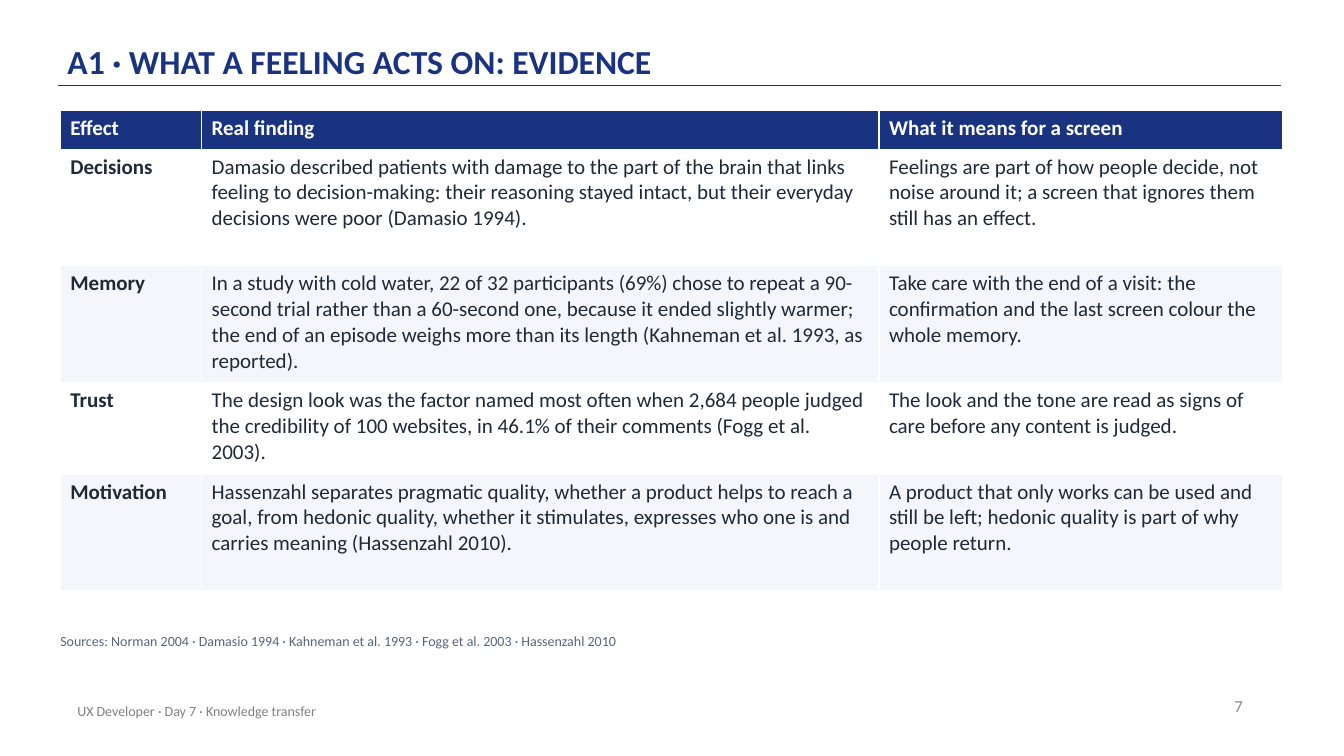
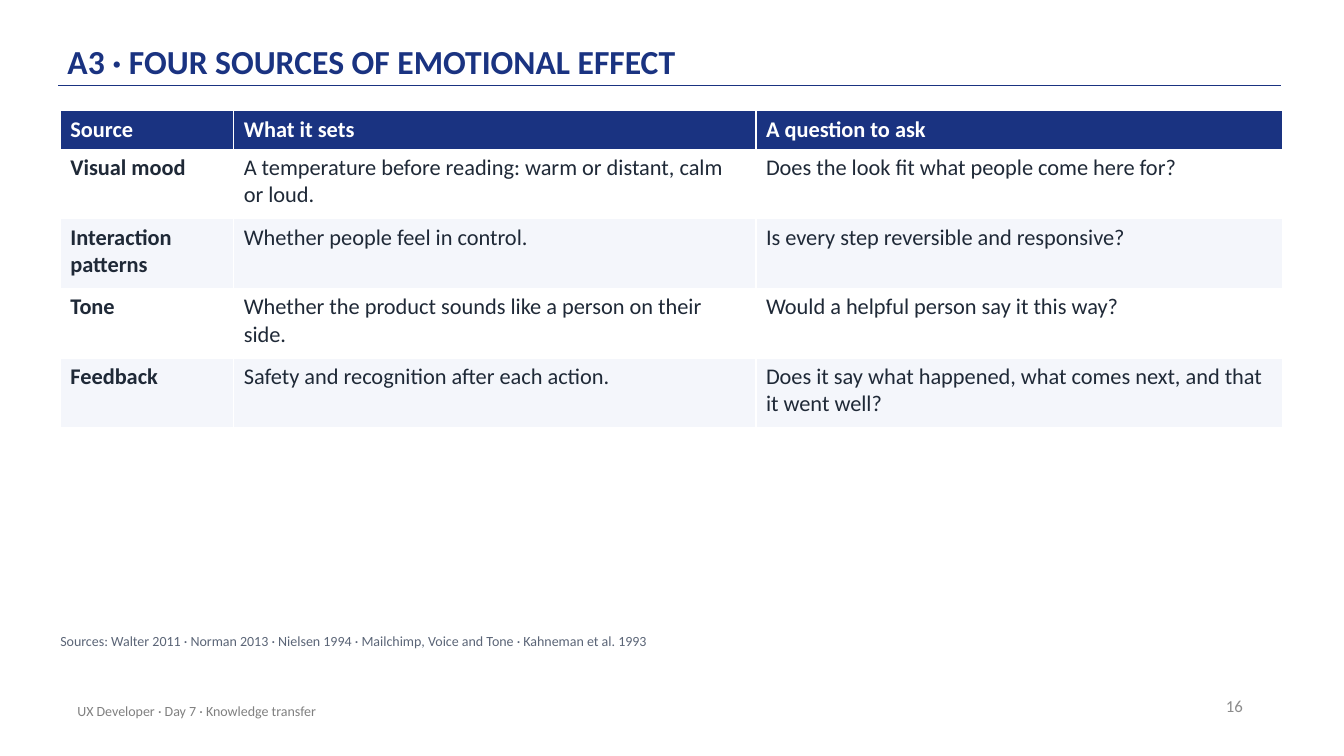
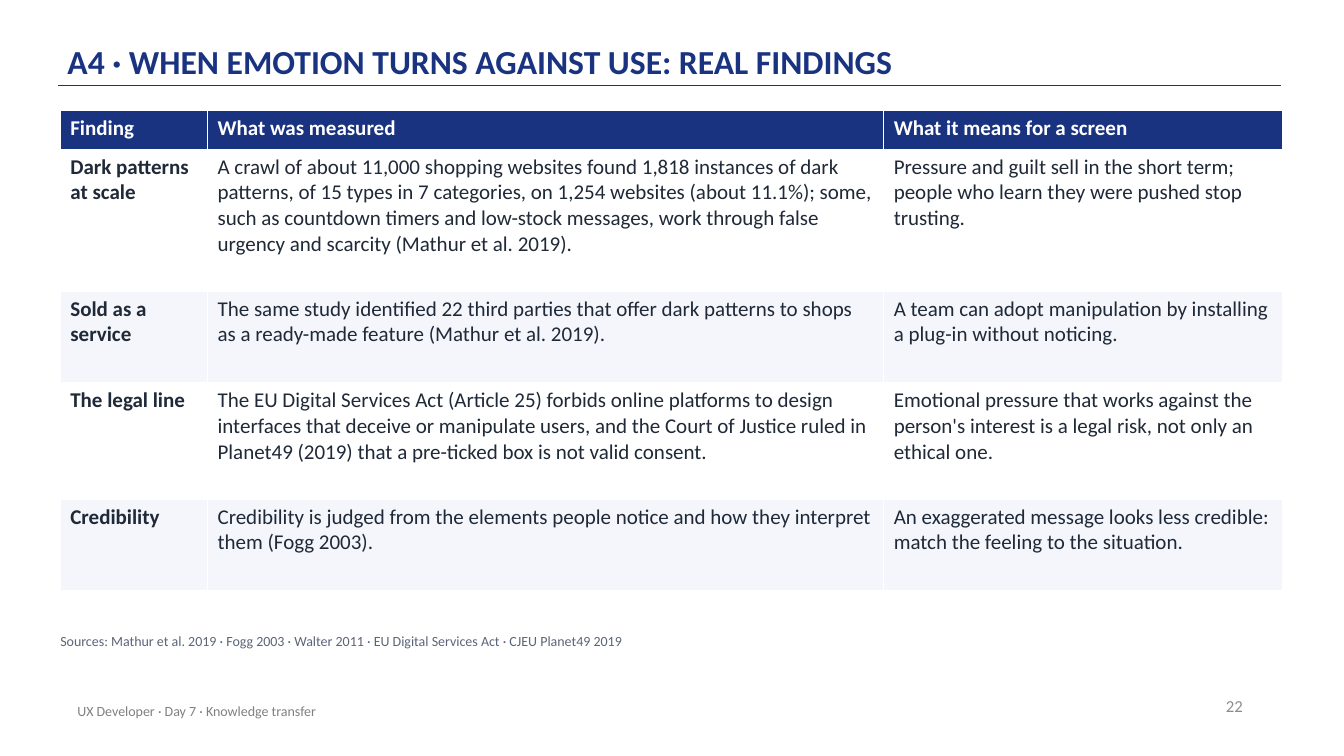
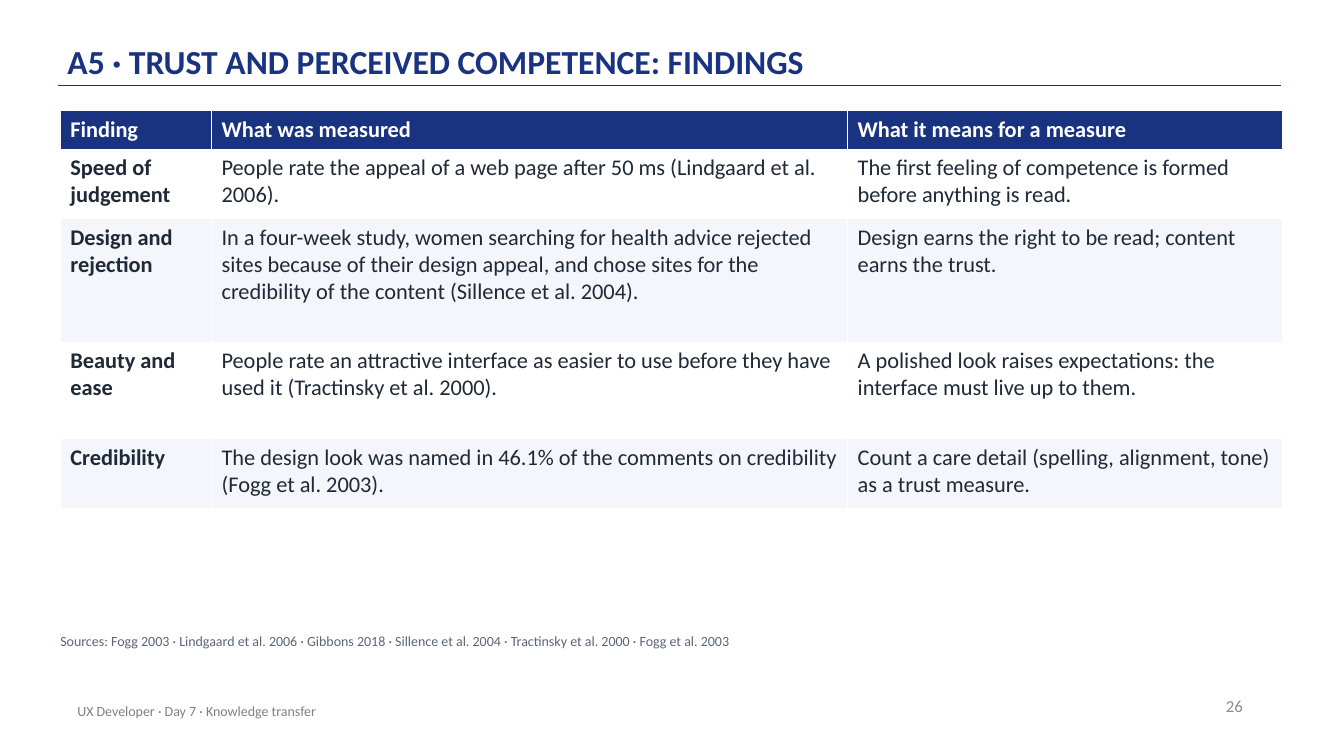
from dataclasses import dataclass

import pptx
import pptx.dml.color
import pptx.enum.shapes
import pptx.enum.text
import pptx.oxml.ns
import pptx.util
from lxml import etree

Cm = pptx.util.Cm
Pt = pptx.util.Pt
Align = pptx.enum.text.PP_ALIGN
Anchor = pptx.enum.text.MSO_ANCHOR


@dataclass(frozen=True)
class Theme:
    font: str = "Calibri"
    brand: str = "1A3381"
    white: str = "FFFFFF"
    band: str = "F4F6FB"
    ink: str = "1F2937"
    source: str = "5B6577"
    footer: str = "808080"
    number: str = "8C8C8C"
    title_size: int = 24
    number_size: int = 12
    small_size: int = 10


THEME = Theme()
FOOTER = "UX Developer · Day 7 · Knowledge transfer"
TABLE_LEFT, TABLE_TOP, TABLE_WIDTH = 1.52, 2.79, 30.81
HEADER_HEIGHT = 0.97
ROW_PADDING = 0.4
LINE_SPACING = 1.2

# Each row ends with the number of text lines its height allows for.
SLIDES = [
    {
        "title": "A1 · WHAT A FEELING ACTS ON: EVIDENCE",
        "number": 7,
        "size": 15,
        "columns": (3.56, 17.07),
        "header": ("Effect", "Real finding", "What it means for a screen"),
        "rows": [
            ("Decisions",
             "Damasio described patients with damage to the part of the brain that links feeling to "
             "decision-making: their reasoning stayed intact, but their everyday decisions were poor "
             "(Damasio 1994).",
             "Feelings are part of how people decide, not noise around it; a screen that ignores them "
             "still has an effect.", 4),
            ("Memory",
             "In a study with cold water, 22 of 32 participants (69%) chose to repeat a 90-second trial "
             "rather than a 60-second one, because it ended slightly warmer; the end of an episode weighs "
             "more than its length (Kahneman et al. 1993, as reported).",
             "Take care with the end of a visit: the confirmation and the last screen colour the whole "
             "memory.", 4),
            ("Trust",
             "The design look was the factor named most often when 2,684 people judged the credibility of "
             "100 websites, in 46.1% of their comments (Fogg et al. 2003).",
             "The look and the tone are read as signs of care before any content is judged.", 3),
            ("Motivation",
             "Hassenzahl separates pragmatic quality, whether a product helps to reach a goal, from "
             "hedonic quality, whether it stimulates, expresses who one is and carries meaning "
             "(Hassenzahl 2010).",
             "A product that only works can be used and still be left; hedonic quality is part of why "
             "people return.", 4),
        ],
        "sources": "Sources: Norman 2004 · Damasio 1994 · Kahneman et al. 1993 · Fogg et al. 2003 · "
                   "Hassenzahl 2010",
    },
    {
        "title": "A3 · FOUR SOURCES OF EMOTIONAL EFFECT",
        "number": 16,
        "size": 16,
        "columns": (4.37, 13.16),
        "header": ("Source", "What it sets", "A question to ask"),
        "rows": [
            ("Visual mood", "A temperature before reading: warm or distant, calm or loud.",
             "Does the look fit what people come here for?", 2),
            ("Interaction patterns", "Whether people feel in control.",
             "Is every step reversible and responsive?", 2),
            ("Tone", "Whether the product sounds like a person on their side.",
             "Would a helpful person say it this way?", 2),
            ("Feedback", "Safety and recognition after each action.",
             "Does it say what happened, what comes next, and that it went well?", 2),
        ],
        "sources": "Sources: Walter 2011 · Norman 2013 · Nielsen 1994 · Mailchimp, Voice and Tone · "
                   "Kahneman et al. 1993",
    },
    {
        "title": "A4 · WHEN EMOTION TURNS AGAINST USE: REAL FINDINGS",
        "number": 22,
        "size": 15,
        "columns": (3.71, 17.04),
        "header": ("Finding", "What was measured", "What it means for a screen"),
        "rows": [
            ("Dark patterns at scale",
             "A crawl of about 11,000 shopping websites found 1,818 instances of dark patterns, of 15 "
             "types in 7 categories, on 1,254 websites (about 11.1%); some, such as countdown timers and "
             "low-stock messages, work through false urgency and scarcity (Mathur et al. 2019).",
             "Pressure and guilt sell in the short term; people who learn they were pushed stop "
             "trusting.", 5),
            ("Sold as a service",
             "The same study identified 22 third parties that offer dark patterns to shops as a "
             "ready-made feature (Mathur et al. 2019).",
             "A team can adopt manipulation by installing a plug-in without noticing.", 3),
            ("The legal line",
             "The EU Digital Services Act (Article 25) forbids online platforms to design interfaces that "
             "deceive or manipulate users, and the Court of Justice ruled in Planet49 (2019) that a "
             "pre-ticked box is not valid consent.",
             "Emotional pressure that works against the person's interest is a legal risk, not only an "
             "ethical one.", 4),
            ("Credibility",
             "Credibility is judged from the elements people notice and how they interpret them "
             "(Fogg 2003).",
             "An exaggerated message looks less credible: match the feeling to the situation.", 3),
        ],
        "sources": "Sources: Mathur et al. 2019 · Fogg 2003 · Walter 2011 · EU Digital Services Act · "
                   "CJEU Planet49 2019",
    },
    {
        "title": "A5 · TRUST AND PERCEIVED COMPETENCE: FINDINGS",
        "number": 26,
        "size": 16,
        "columns": (3.81, 16.03),
        "header": ("Finding", "What was measured", "What it means for a measure"),
        "rows": [
            ("Speed of judgement",
             "People rate the appeal of a web page after 50 ms (Lindgaard et al. 2006).",
             "The first feeling of competence is formed before anything is read.", 2),
            ("Design and rejection",
             "In a four-week study, women searching for health advice rejected sites because of their "
             "design appeal, and chose sites for the credibility of the content (Sillence et al. 2004).",
             "Design earns the right to be read; content earns the trust.", 4),
            ("Beauty and ease",
             "People rate an attractive interface as easier to use before they have used it "
             "(Tractinsky et al. 2000).",
             "A polished look raises expectations: the interface must live up to them.", 3),
            ("Credibility",
             "The design look was named in 46.1% of the comments on credibility (Fogg et al. 2003).",
             "Count a care detail (spelling, alignment, tone) as a trust measure.", 2),
        ],
        "sources": "Sources: Fogg 2003 · Lindgaard et al. 2006 · Gibbons 2018 · Sillence et al. 2004 · "
                   "Tractinsky et al. 2000 · Fogg et al. 2003",
    },
]


def rgb(color):
    return pptx.dml.color.RGBColor.from_string(color)


def write(text_frame, text, size, color, bold=False, align=Align.LEFT):
    paragraph = text_frame.paragraphs[0]
    paragraph.alignment = align
    run = paragraph.add_run()
    run.text = text
    run.font.name = THEME.font
    run.font.size = Pt(size)
    run.font.bold = bold
    run.font.color.rgb = rgb(color)
    return paragraph


def add_text(slide, box, text, size, color, align=Align.LEFT):
    shape = slide.shapes.add_textbox(*map(Cm, box))
    shape.text_frame.word_wrap = True
    shape.text_frame.vertical_anchor = Anchor.MIDDLE
    write(shape.text_frame, text, size, color, align=align)
    return shape.text_frame


def format_title_layout(layout):
    title = layout.placeholders[0]
    title.left, title.top, title.width, title.height = map(Cm, (1.7, 0.3, 27.94, 1.83))
    frame = title.text_frame
    frame.vertical_anchor = Anchor.BOTTOM
    frame.margin_left = frame.margin_right = 0
    frame.margin_top = frame.margin_bottom = Cm(0.08)


def add_frame(slide, title, number):
    paragraph = write(slide.shapes.title.text_frame, title, THEME.title_size, THEME.brand, bold=True)
    paragraph.line_spacing = 0.9
    rule = slide.shapes.add_connector(
        pptx.enum.shapes.MSO_CONNECTOR.STRAIGHT, Cm(1.47), Cm(2.16), Cm(32.28), Cm(2.16))
    rule.line.color.rgb = rgb(THEME.brand)
    rule.line.width = Pt(1)
    properties = rule.element.find(pptx.oxml.ns.qn("p:spPr"))
    etree.SubElement(properties, pptx.oxml.ns.qn("a:effectLst"))
    add_text(slide, (23.95, 17.27, 7.62, 1.02), str(number), THEME.number_size, THEME.number,
             Align.RIGHT)
    add_text(slide, (1.7, 17.4, 17.02, 1.02), FOOTER, THEME.small_size, THEME.footer)


def fill_row(row, texts, size, fill, color, bold_columns):
    for column, (cell, text) in enumerate(zip(row.cells, texts)):
        cell.fill.solid()
        cell.fill.fore_color.rgb = rgb(fill)
        write(cell.text_frame, text, size, color, bold=column in bold_columns)


def add_findings_table(slide, header, rows, columns, size):
    widths = (*columns, TABLE_WIDTH - sum(columns))
    line_height = Pt(size * LINE_SPACING).cm
    heights = [HEADER_HEIGHT] + [lines * line_height + ROW_PADDING for *_, lines in rows]
    table = slide.shapes.add_table(
        len(heights), len(widths), Cm(TABLE_LEFT), Cm(TABLE_TOP), Cm(TABLE_WIDTH),
        Cm(sum(heights))).table
    table.horz_banding = False
    for column, width in zip(table.columns, widths):
        column.width = Cm(width)
    for row, height in zip(table.rows, heights):
        row.height = Cm(height)
    fill_row(table.rows[0], header, size, THEME.brand, THEME.white, range(len(header)))
    for index, (*texts, _) in enumerate(rows):
        fill = THEME.band if index % 2 else THEME.white
        fill_row(table.rows[index + 1], texts, size, fill, THEME.ink, (0,))


def add_sources(slide, text):
    frame = add_text(slide, (TABLE_LEFT, 15.93, 30.73, 0.76), text, THEME.small_size, THEME.source)
    frame.vertical_anchor = Anchor.TOP
    frame.auto_size = pptx.enum.text.MSO_AUTO_SIZE.SHAPE_TO_FIT_TEXT
    frame.margin_left = frame.margin_top = frame.margin_right = frame.margin_bottom = 0
    frame.paragraphs[0].space_after = Pt(6)


def main():
    presentation = pptx.Presentation()
    presentation.slide_width, presentation.slide_height = Cm(33.87), Cm(19.05)
    layout = presentation.slide_layouts[5]
    format_title_layout(layout)
    for content in SLIDES:
        slide = presentation.slides.add_slide(layout)
        add_frame(slide, content["title"], content["number"])
        add_findings_table(slide, content["header"], content["rows"], content["columns"],
                           content["size"])
        add_sources(slide, content["sources"])
    presentation.save("out.pptx")


if __name__ == "__main__":
    main()
